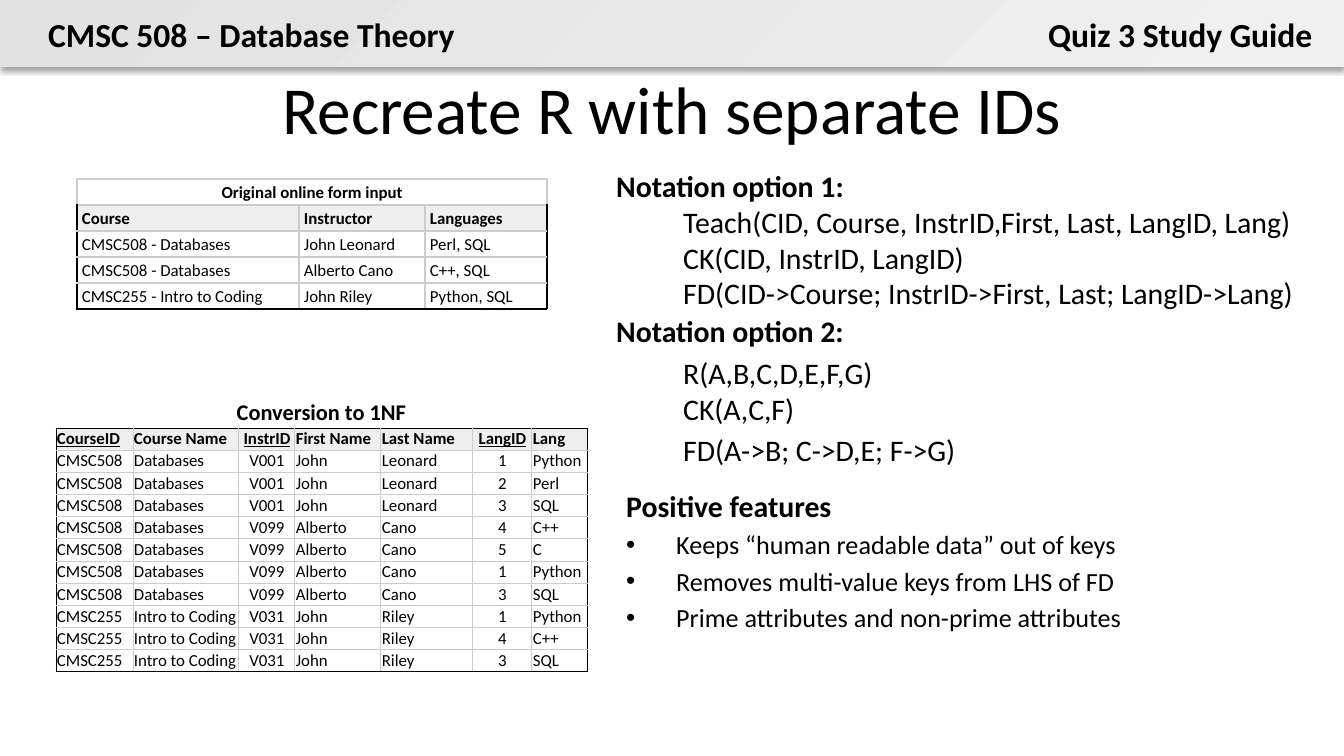
from lxml.etree import SubElement
from pptx import Presentation
from pptx.dml.color import RGBColor
from pptx.enum.shapes import MSO_SHAPE
from pptx.enum.text import MSO_ANCHOR, PP_ALIGN
from pptx.oxml.ns import qn
from pptx.util import Emu, Pt

SCALE = 914400 / 134.4
COLORS = {
    "text": "000000",
    "bar_start": "E2E2E2",
    "bar_end": "F0F0F0",
    "header": "EFEFEF",
    "grid": "CCCCCC",
    "edge": "000000",
}


def px(value):
    return Emu(round(value * SCALE))


def add_text(box, lines, align=PP_ALIGN.LEFT, wrap=True, anchor=MSO_ANCHOR.TOP):
    """Add a text box; each line is (text, size, bold, space before, bulleted)."""
    frame = slide.shapes.add_textbox(*map(px, box)).text_frame
    frame.word_wrap = wrap
    frame.vertical_anchor = anchor
    for index, (text, size, bold, space, bulleted) in enumerate(lines):
        paragraph = frame.paragraphs[0] if index == 0 else frame.add_paragraph()
        paragraph.text = text
        paragraph.alignment = align
        if space:
            paragraph.space_before = Pt(space)
        properties = paragraph._p.get_or_add_pPr()
        if bulleted:
            properties.set("marL", str(px(50)))
            properties.set("indent", str(-px(50)))
            SubElement(properties, qn("a:buFont"), typeface="Arial")
            SubElement(properties, qn("a:buChar"), char="•")
        if "\t" in text:
            tabs = SubElement(properties, qn("a:tabLst"))
            SubElement(tabs, qn("a:tab"), pos=str(px(67)), algn="l")
        paragraph.font.name = "Calibri"
        paragraph.font.size = Pt(size)
        paragraph.font.bold = bold
        paragraph.font.color.rgb = RGBColor.from_string(COLORS["text"])


presentation = Presentation()
presentation.slide_width = px(1344)
presentation.slide_height = px(756)
slide = presentation.slides.add_slide(presentation.slide_layouts[6])

# Header bar with a soft shadow below
bar = slide.shapes.add_shape(MSO_SHAPE.RECTANGLE, 0, 0, px(1344), px(67))
bar.fill.gradient()
bar.fill.gradient_angle = 315
for stop, name in zip(bar.fill.gradient_stops, ("bar_start", "bar_end")):
    stop.color.rgb = RGBColor.from_string(COLORS[name])
bar.line.fill.background()
bar.shadow.inherit = False
shadow = SubElement(bar._element.spPr.find(qn("a:effectLst")), qn("a:outerShdw"),
                    blurRad=str(Pt(3.1)), dist=str(Pt(1.6)), dir="5400000",
                    rotWithShape="0")
shadow_color = SubElement(shadow, qn("a:srgbClr"), val=COLORS["edge"])
SubElement(shadow_color, qn("a:alpha"), val="38000")

# Header texts and title
add_text((35, 7, 438, 54), [("CMSC 508 – Database Theory", 18, True, 0, False)],
         wrap=False)
add_text((1032, 7, 294, 54), [("Quiz 3 Study Guide", 18, True, 0, False)],
         align=PP_ALIGN.RIGHT, wrap=False)
add_text((0, 73, 1344, 70), [("Recreate R with separate IDs", 36, False, 0, False)],
         align=PP_ALIGN.CENTER, anchor=MSO_ANCHOR.MIDDLE)

# Notation options and positive features
add_text((603, 161, 735, 183), [
    ("Notation option 1:", 16, True, 0, False),
    ("\tTeach(CID, Course, InstrID,First, Last, LangID, Lang)\v"
     "\tCK(CID, InstrID, LangID)\v"
     "\tFD(CID->Course; InstrID->First, Last; LangID->Lang)", 16, False, 0, False),
])
add_text((603, 306, 714, 183), [
    ("Notation option 2:", 16, True, 0, False),
    ("\tR(A,B,C,D,E,F,G)\v\tCK(A,C,F)", 16, False, 3.2, False),
    ("\tFD(A->B; C->D,E; F->G)", 16, False, 3.2, False),
])
add_text((613, 481, 726, 251), [
    ("Positive features", 16, True, 0, False),
    ("Keeps “human readable data” out of keys", 14, False, 2.8, True),
    ("Removes multi-value keys from LHS of FD", 14, False, 2.8, True),
    ("Prime attributes and non-prime attributes", 14, False, 2.8, True),
])

# Table contents
form_rows = [
    ("Original online form input", "", ""),
    ("Course", "Instructor", "Languages"),
    ("CMSC508 - Databases", "John Leonard", "Perl, SQL"),
    ("CMSC508 - Databases", "Alberto Cano", "C++, SQL"),
    ("CMSC255 - Intro to Coding", "John Riley", "Python, SQL"),
]
courses = [
    (("CMSC508", "Databases", "V001", "John", "Leonard"),
     [("1", "Python"), ("2", "Perl"), ("3", "SQL")]),
    (("CMSC508", "Databases", "V099", "Alberto", "Cano"),
     [("4", "C++"), ("5", "C"), ("1", "Python"), ("3", "SQL")]),
    (("CMSC255", "Intro to Coding", "V031", "John", "Riley"),
     [("1", "Python"), ("4", "C++"), ("3", "SQL")]),
]
normal_rows = [("CourseID", "Course Name", "InstrID", "First Name", "Last Name",
                "LangID", "Lang")]
normal_rows += [course + language for course, languages in courses
                for language in languages]
keys = ("CourseID", "InstrID", "LangID")

# Tables: left, top, rows, column widths, row height, margins, line width,
# header row, centred columns
tables = [
    (56, 428, normal_rows, (77, 106, 56, 86, 92, 59, 56), 22, (1, 1), 0.6, 0, (2, 5)),
    (77, 179, form_rows, (222, 126, 122), 26, (5, 2), 0.75, 1, ()),
]
for left, top, rows, widths, height, margins, line, header, centered in tables:
    last_row, last_column = len(rows) - 1, len(widths) - 1
    table = slide.shapes.add_table(len(rows), len(widths), px(left), px(top),
                                   px(sum(widths)), px(height * len(rows))).table
    table.first_row = table.horz_banding = False
    for column, width in zip(table.columns, widths):
        column.width = px(width)
    for r, row in enumerate(rows):
        table.rows[r].height = px(height)
        for c, text in enumerate(row):
            cell = table.cell(r, c)
            cell.margin_left = cell.margin_right = px(margins[0])
            cell.margin_top = cell.margin_bottom = px(margins[1])
            cell.vertical_anchor = MSO_ANCHOR.BOTTOM

            # Black outer edge from the header row down, grey grid elsewhere
            body = r >= header
            edges = {"L": body and c == 0, "R": body and c == last_column,
                     "T": header == 0 and r == 0, "B": r == last_row}
            for side, outer in edges.items():
                border = SubElement(cell._tc.get_or_add_tcPr(), qn(f"a:ln{side}"),
                                    w=str(Pt(line)))
                fill = SubElement(border, qn("a:solidFill"))
                SubElement(fill, qn("a:srgbClr"), val=COLORS["edge" if outer else "grid"])
            if r == header:
                cell.fill.solid()
                cell.fill.fore_color.rgb = RGBColor.from_string(COLORS["header"])
            else:
                cell.fill.background()

            paragraph = cell.text_frame.paragraphs[0]
            paragraph.text = text
            if c in centered or r < header:
                paragraph.alignment = PP_ALIGN.CENTER
            paragraph.font.name = "Calibri"
            paragraph.font.size = Pt(9)
            paragraph.font.bold = r <= header
            paragraph.font.underline = text in keys
            paragraph.font.color.rgb = RGBColor.from_string(COLORS["text"])
    if header:
        table.cell(0, 0).merge(table.cell(0, last_column))

# Caption of the lower table
add_text((56, 392, 531, 40), [("Conversion to 1NF", 12, True, 0, False)],
         align=PP_ALIGN.CENTER)

presentation.save("out.pptx")
